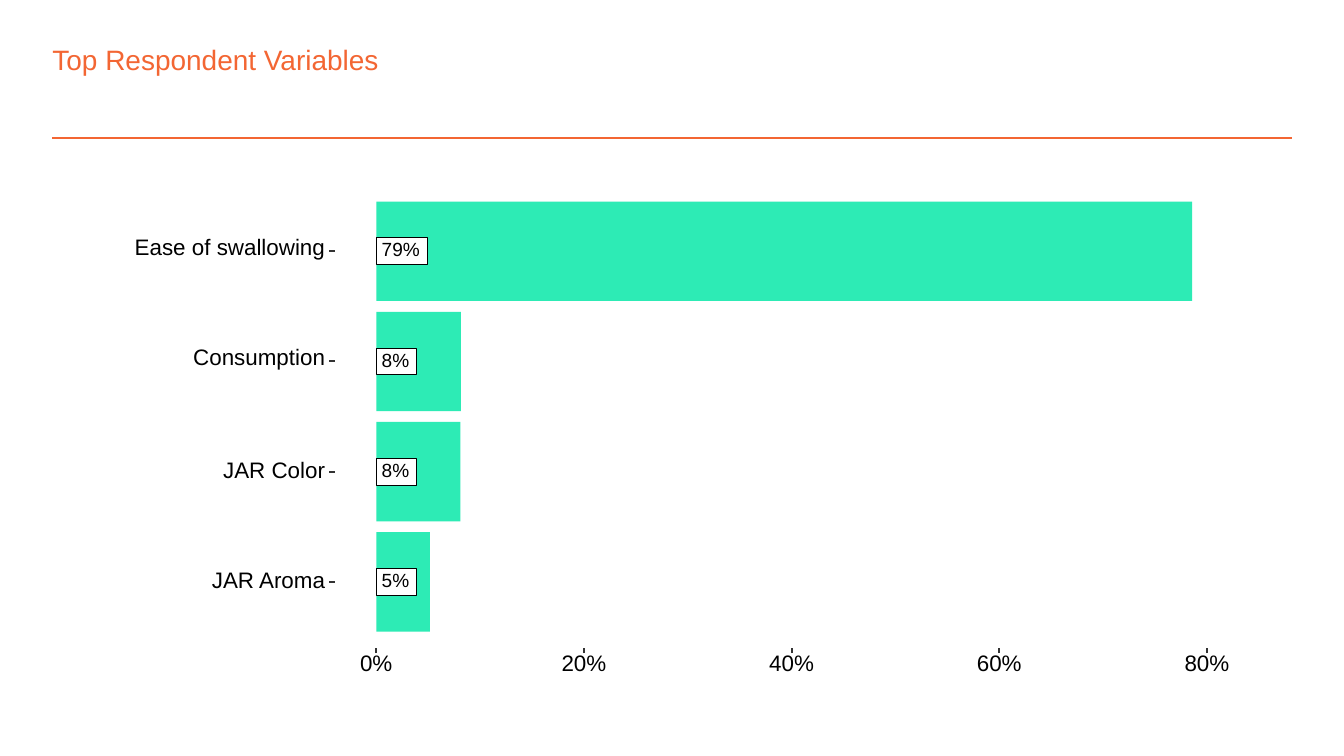
"""Build the slide of top respondent variables as a bar chart made of shapes."""
from pptx import Presentation
from pptx import util as u
from pptx.dml.color import RGBColor
from pptx.enum import shapes, text
from pptx.oxml.ns import qn
from lxml import etree

TITLE = "Top Respondent Variables"
VARIABLES = [
    {"name": "Ease of swallowing", "share": 78.58, "width": 1.43, "lift": 0.02},
    {"name": "Consumption", "share": 8.16, "width": 1, "lift": 0.02},
    {"name": "JAR Color", "share": 8.1, "width": 0.77, "lift": 0},
    {"name": "JAR Aroma", "share": 5.15, "width": 0.86, "lift": 0},
]
TICKS = [0, 20, 40, 60, 80]
COLORS = {"accent": "F36633", "bar": "2DEBB5", "ink": "000000",
          "tick": "333333", "paper": "FFFFFF"}
FONT = "Arial"
SLIDE_WIDTH = 10
SLIDE_HEIGHT = SLIDE_WIDTH * 9 / 16
ZERO_X, AXIS_WIDTH = 2.8, 6.18
FIRST_BAR_Y, BAR_PITCH, BAR_HEIGHT = 1.5, 0.82, 0.74
BADGE_HEIGHT = 0.2
NAME_RIGHT = 2.42
ALIGN = text.PP_ALIGN


def color(name):
    return RGBColor.from_string(COLORS[name])


def share_width(share):
    return AXIS_WIDTH * share / TICKS[-1]


def add_rect(page, x, y, width, height, fill, line=None, weight=1):
    box = page.shapes.add_shape(shapes.MSO_SHAPE.RECTANGLE, u.Inches(x), u.Inches(y),
                                u.Inches(width), u.Inches(height))
    box.shadow.inherit = False
    box.fill.solid()
    box.fill.fore_color.rgb = color(fill)
    if line:
        box.line.color.rgb = color(line)
        box.line.width = u.Pt(weight)
    else:
        box.line.fill.background()


def add_line(page, x1, y1, x2, y2, ink, weight):
    line = page.shapes.add_connector(shapes.MSO_CONNECTOR.STRAIGHT, u.Inches(x1),
                                     u.Inches(y1), u.Inches(x2), u.Inches(y2))
    line.line.color.rgb = color(ink)
    line.line.width = u.Pt(weight)
    etree.SubElement(line._element.spPr, qn("a:effectLst"))


def add_text(page, words, x, middle, width, height, size, ink="ink", align=ALIGN.LEFT):
    box = page.shapes.add_textbox(u.Inches(x), u.Inches(middle - height / 2),
                                  u.Inches(width), u.Inches(height))
    frame = box.text_frame
    frame.word_wrap = False
    frame.vertical_anchor = text.MSO_ANCHOR.MIDDLE
    frame.margin_left = frame.margin_right = frame.margin_top = frame.margin_bottom = 0
    para = frame.paragraphs[0]
    para.text = words
    para.alignment = align
    para.line_spacing = u.Pt(size)
    para.font.name = FONT
    para.font.size = u.Pt(size)
    para.font.color.rgb = color(ink)
    return box


def add_variable(page, row, variable):
    top = FIRST_BAR_Y + row * BAR_PITCH
    middle = top + BAR_HEIGHT / 2
    value = f"{variable['share']:.0f}%"
    value_width = 0.08 * len(value) + 0.06
    add_rect(page, ZERO_X, top, share_width(variable["share"]), BAR_HEIGHT, "bar")
    add_rect(page, ZERO_X, middle - BADGE_HEIGHT / 2, value_width + 0.08, BADGE_HEIGHT,
             "paper", "ink", 0.53)
    add_text(page, value, ZERO_X + 0.04, middle, value_width, 0.11, 10.2)
    add_text(page, variable["name"], NAME_RIGHT - variable["width"],
             middle - variable["lift"], variable["width"], 0.12, 12, align=ALIGN.RIGHT)
    add_line(page, 2.45, middle, 2.49, middle, "tick", 1.07)


def add_tick(page, share):
    x = ZERO_X + share_width(share)
    width = 0.35 if share else 0.26
    add_line(page, x, 4.86, x, 4.82, "tick", 1.07)
    add_text(page, f"{share}%", x - width / 2, 4.95, width, 0.13, 12, align=ALIGN.CENTER)


def main():
    deck = Presentation()
    deck.slide_width, deck.slide_height = u.Inches(SLIDE_WIDTH), u.Inches(SLIDE_HEIGHT)
    page = deck.slides.add_slide(deck.slide_layouts[6])
    add_line(page, 0.39, 1.03, 9.61, 1.03, "accent", 1)
    title = add_text(page, TITLE, 0.39, 0.44, 8.29, 0.25, 15, "accent")
    title.text_frame.word_wrap = True
    title.text_frame.paragraphs[0].line_spacing = 1.0
    add_rect(page, 0.75, 1.3, 8.5, 4, "paper", "paper", 1.07)
    for row, variable in enumerate(VARIABLES):
        add_variable(page, row, variable)
    for share in TICKS:
        add_tick(page, share)
    deck.save("out.pptx")


if __name__ == "__main__":
    main()
